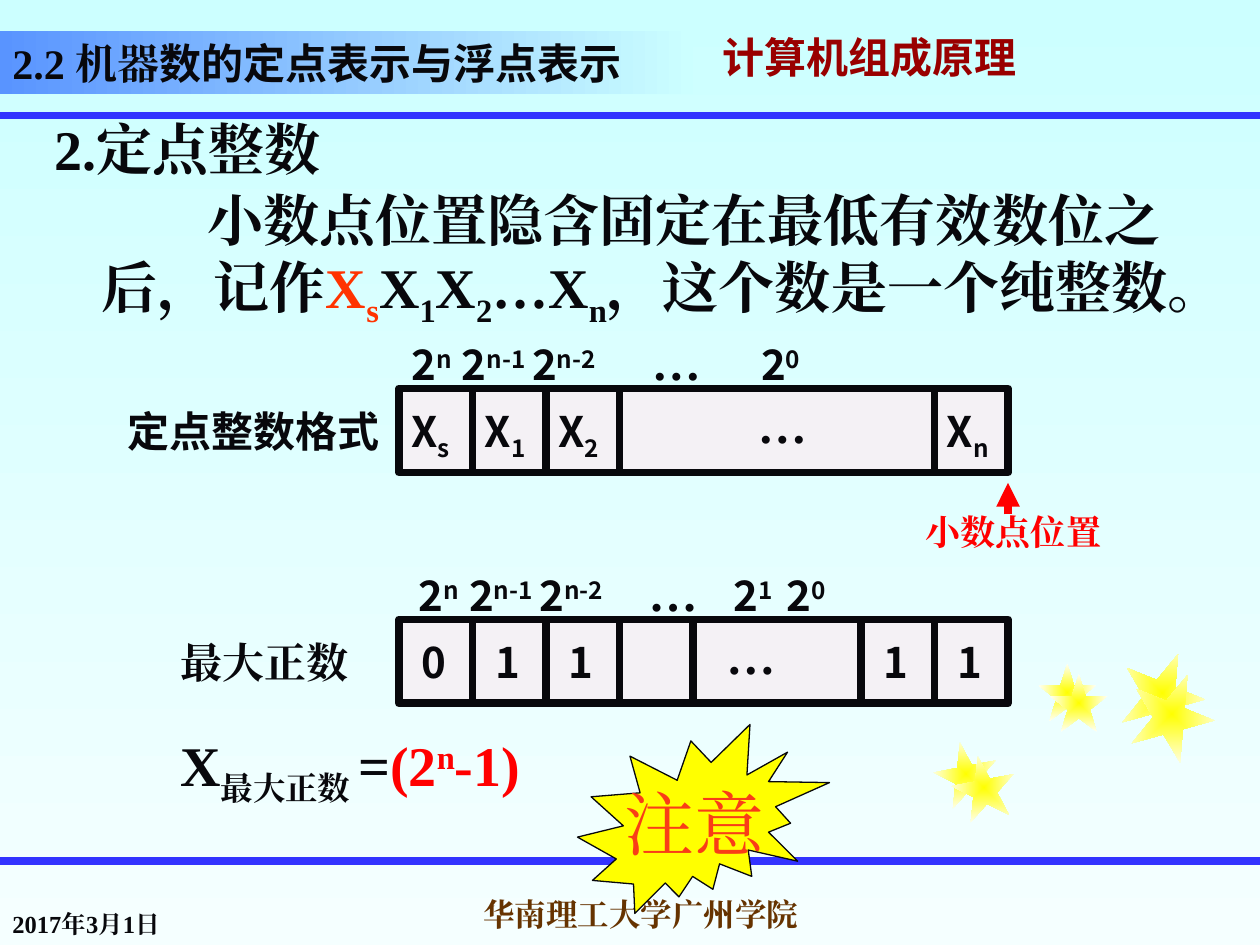
import lxml.etree
import pptx
import pptx.dml.color
import pptx.enum.shapes
import pptx.enum.text
import pptx.oxml.ns
import pptx.util

PX = 7620
INK, RED, BLUE, PAPER = "08080C", "FF0000", "3333FF", "F4F1F5"
SERIF, SANS = "Times New Roman", "Noto Sans CJK SC"
SHAPE = pptx.enum.shapes.MSO_SHAPE
ANCHOR = pptx.enum.text.MSO_ANCHOR
CENTER = pptx.enum.text.PP_ALIGN.CENTER
SUB, SUP = {"base": -25}, {"base": 30}
SMALL = {"size": 24, "name": SANS}
CELL, HEIGHT, ROW_LEFT, ROW_WIDTH = 70, 80, 380, 580


def px(n):
    return pptx.util.Emu(n * PX)


def rgb(value):
    return pptx.dml.color.RGBColor.from_string(value)


def sub(parent, tag, **attrs):
    return lxml.etree.SubElement(parent, pptx.oxml.ns.qn(tag), attrs)


def gradient(fill, colors, angle=0):
    fill.gradient()
    fill.gradient_angle = angle
    for stop, color in zip(fill.gradient_stops, colors):
        stop.color.rgb = rgb(color)


def add_run(p, text, base=0, color=INK, **font):
    r = p.add_run()
    r.text = text
    values = {"size": 24, "name": SERIF, "bold": True, **font}
    values["size"] = pptx.util.Pt(values["size"])
    for key, value in values.items():
        setattr(r.font, key, value)
    r.font.color.rgb = rgb(color)
    rpr = r.font._element
    sub(rpr, "a:ea", typeface=values["name"])
    if base:
        rpr.set("baseline", str(base * 1000))
    return r


def write(sp, paragraphs, tabs=(), anchor=ANCHOR.TOP, wrap=True, font=None, **fmt):
    tf = sp.text_frame
    for key, value in {"word_wrap": wrap, "vertical_anchor": anchor}.items():
        setattr(tf, key, value)
    for i, runs in enumerate(paragraphs):
        p = tf.add_paragraph() if i else tf.paragraphs[0]
        for key, value in fmt.items():
            setattr(p, key, value)
        if tabs:
            stops = sub(p._p.get_or_add_pPr(), "a:tabLst")
            for stop in tabs:
                sub(stops, "a:tab", pos=str(stop * PX), algn="l")
        for text, extra in runs:
            add_run(p, text, **{**(font or {}), **extra})
    return tf


def add_text(s, box, runs, **fmt):
    sp = s.shapes.add_textbox(*map(px, box))
    return write(sp, [runs], **fmt)


def add_shape(s, kind, box, fill=None, line=None, width=4.5):
    sp = s.shapes.add_shape(kind, *map(px, box))
    sp.shadow.inherit = False
    if fill:
        sp.fill.solid()
        sp.fill.fore_color.rgb = rgb(fill)
    if line:
        sp.line.color.rgb = rgb(line)
        sp.line.width = pptx.util.Pt(width)
    else:
        sp.line.fill.background()
    return sp


def add_line(s, start, end, color, arrow=False):
    cn = s.shapes.add_connector(
        pptx.enum.shapes.MSO_CONNECTOR.STRAIGHT, *map(px, start + end))
    cn.line.color.rgb = rgb(color)
    cn.line.width = pptx.util.Pt(4.5)
    if arrow:
        sub(cn.line._get_or_add_ln(), "a:tailEnd", type="triangle")
    sub(cn._element.spPr, "a:effectLst")


def add_star(s, left, top, size, rotation):
    sp = add_shape(s, SHAPE.STAR_5_POINT, (left, top, size, size))
    sp.rotation = rotation
    gradient(sp.fill, ("FFFF00", "FFFFF5"))
    grad = sp._element.spPr.find(pptx.oxml.ns.qn("a:gradFill"))
    grad.remove(grad.find(pptx.oxml.ns.qn("a:lin")))
    sub(sub(grad, "a:path", path="shape"), "a:fillToRect",
        l="50000", t="50000", r="50000", b="50000")


def add_register(s, top, cells, inset, dots_left):
    add_shape(s, SHAPE.RECTANGLE, (ROW_LEFT, top, ROW_WIDTH, HEIGHT), PAPER, INK)
    edges = {ROW_LEFT + CELL * i for i in (1, 2, 3)}
    edges |= {ROW_LEFT + CELL * slot for slot in cells if slot > 3}
    edges.add(ROW_LEFT + ROW_WIDTH - CELL)
    for x in sorted(edges):
        add_line(s, (x, top), (x, top + HEIGHT), INK)
    for x, runs in cells.values():
        add_text(s, (x + inset, top + 10, 100, 60), runs, font=SMALL)
    add_text(s, (dots_left, top, 130, 68), [("…", {"size": 28})])


def add_weights(s, box, powers, tabs):
    runs = []
    for i, power in enumerate(powers):
        lead = "\t" if i else ""
        if power == "…":
            runs.append((lead + power, {"size": 28, "name": SERIF}))
        else:
            runs += [(lead + "2", {}), (power, SUP)]
    add_text(s, box, runs, tabs=tabs, anchor=ANCHOR.MIDDLE, font=SMALL)


def cell_map(last, runs):
    slots = [0, 1, 2] + last
    lefts = [ROW_LEFT + CELL * i for i in range(3)]
    lefts += [ROW_LEFT + ROW_WIDTH - CELL * (len(last) - i) for i in range(len(last))]
    return {min(slot, 3): (x, run) for slot, x, run in zip(slots, lefts, runs)} \
        if len(last) == 1 else {i: (x, run) for i, (x, run) in enumerate(zip(lefts, runs))}


def add_frame(s):
    gradient(s.background.fill, ("CCFFFF", "F5FFFF"), 270)
    tf = add_text(s, (676, 30, 524, 60), [("计算机组成原理", {"color": "990000"})],
                  anchor=ANCHOR.MIDDLE, line_spacing=0.7, font=SMALL)
    fill = tf.paragraphs[0].runs[0].font._element.find(pptx.oxml.ns.qn("a:solidFill"))
    effects = lxml.etree.Element(pptx.oxml.ns.qn("a:effectLst"))
    shadow = sub(effects, "a:outerShdw", dist="38100", dir="2700000")
    sub(shadow, "a:srgbClr", val="808080")
    fill.addnext(effects)
    for y in (110, 820):
        add_line(s, (0, y), (1200, y), BLUE)
    for star in ((890, 707, 60, 349), (989, 632, 55, 0), (1067, 620, 80, 22),
                 (907, 720, 60, 349), (1000, 642, 55, 0), (1076, 640, 80, 22)):
        add_star(s, *star)
    add_text(s, (0, 840, 250, 60), [("2017年3月1日", {"size": 14})], anchor=ANCHOR.BOTTOM)
    add_text(s, (420, 840, 380, 60),
             [("华南理工大学广州学院", {"size": 18, "color": "663300"})],
             anchor=ANCHOR.MIDDLE, wrap=False, alignment=CENTER)


def add_body(s):
    sp = s.shapes.add_textbox(*map(px, (40, 110, 1100, 200)))
    red = {"color": "FF3300"}
    tf = write(sp, [
        [("2.定点整数", {})],
        [("小数点位置隐含固定在最低有效数位之后，记作", {}), ("X", red),
         ("s", {**red, **SUB}), ("X", {}), ("1", SUB), ("X", {}), ("2", SUB),
         ("…X", {}), ("n", SUB), ("，这个数是一个纯整数。", {})],
    ], line_spacing=0.9, font={"size": 32})
    for p, indent in zip(tf.paragraphs, (-45, 101)):
        ppr = p._p.get_or_add_pPr()
        ppr.set("marL", str(45 * PX))
        ppr.set("indent", str(indent * PX))
    tf.paragraphs[1].space_before = pptx.util.Pt(6.4)


def main():
    prs = pptx.Presentation()
    prs.slide_width, prs.slide_height = px(1200), px(900)
    s = prs.slides.add_slide(prs.slide_layouts[6])
    add_frame(s)
    title = add_shape(s, SHAPE.RECTANGLE, (0, 30, 660, 60))
    gradient(title.fill, ("5994FF", "CCFFFF"))
    write(title, [[("2.2 机器", {}), ("数的定点表示与浮点表示", {"name": SANS})]],
          anchor=ANCHOR.BOTTOM, alignment=pptx.enum.text.PP_ALIGN.LEFT)
    add_body(s)

    add_text(s, (110, 380, 270, 60), [("定点整数格式", {})], font=SMALL)
    add_weights(s, (380, 310, 577, 68), ("n", "n-1", "n-2", "…", "0"),
                (48, 115, 229, 333))
    symbols = [[("X", {}), (index, SUB)] for index in "s12n"]
    add_register(s, 370, cell_map([3], symbols), 0, 710)
    add_text(s, (870, 480, 250, 52), [("小数点位置", {"size": 20, "color": RED})])
    add_line(s, (960, 490), (960, 460), RED, arrow=True)

    add_text(s, (160, 600, 250, 60), [("最大正数", {})])
    add_weights(s, (387, 530, 557, 68), ("n", "n-1", "n-2", "…", "1", "0"),
                (48, 115, 219, 300, 350))
    digits = [[(digit, {})] for digit in "01111"]
    add_register(s, 590, cell_map([3, 4], digits), 10, 680)
    add_line(s, (820, 590), (820, 670), INK)

    add_text(s, (160, 690, 850, 76),
             [("X", {}), ("最大正数 ", SUB), ("=", {}), ("(2", {"color": RED}),
              ("n", {"color": RED, **SUP}), ("-1)", {"color": RED})], font={"size": 32})
    seal = add_shape(s, SHAPE.EXPLOSION2, (550, 690, 240, 180), "FFFF00", INK, 0.75)
    write(seal, [[("注意", {"size": 40, "bold": False, "color": "F93D17"})]],
          anchor=ANCHOR.MIDDLE, wrap=False, alignment=CENTER)
    prs.save("out.pptx")


if __name__ == "__main__":
    main()
